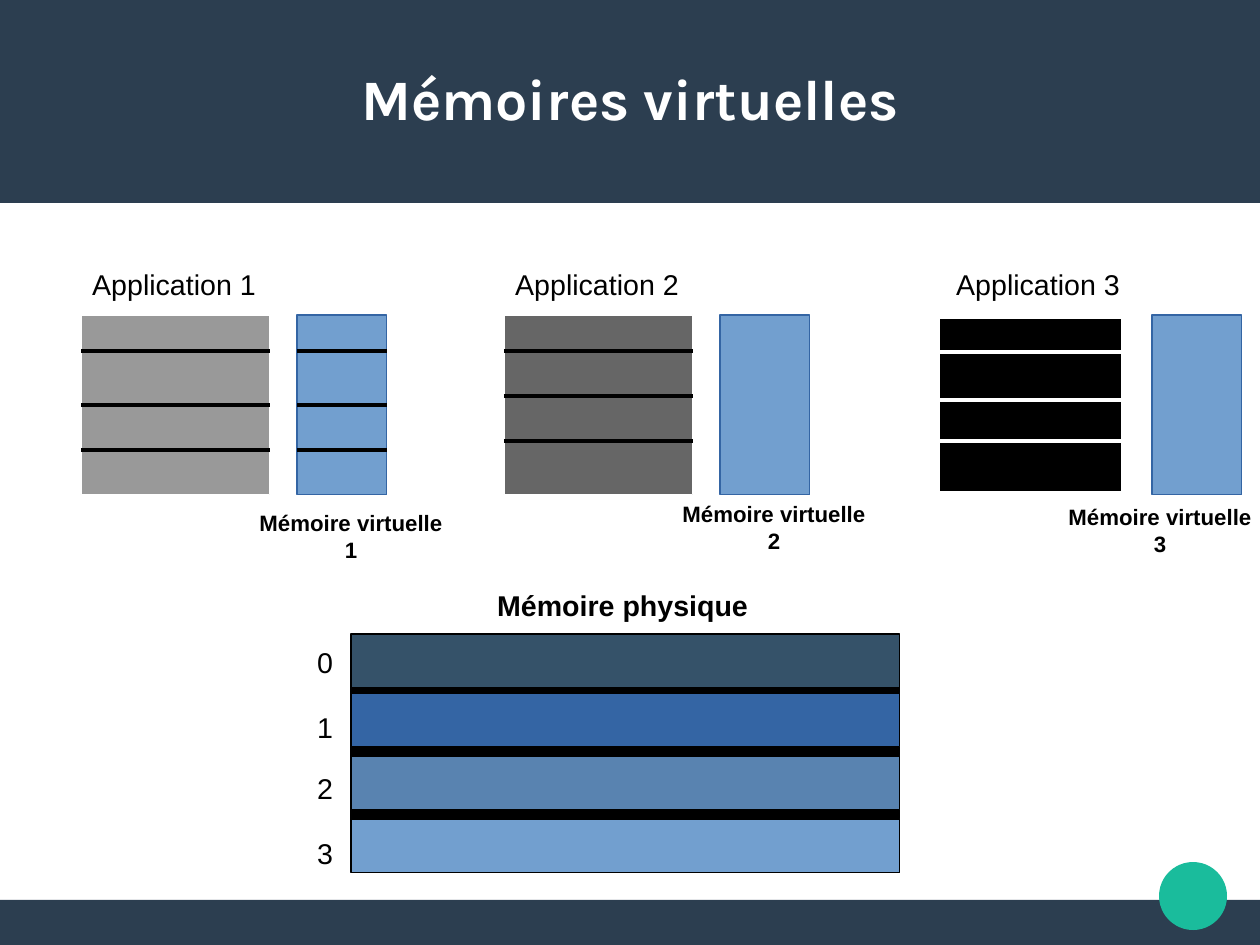
from lxml import etree
from pptx import Presentation
from pptx.dml.color import RGBColor
from pptx.enum.shapes import MSO_CONNECTOR, MSO_SHAPE
from pptx.enum.text import MSO_ANCHOR, PP_ALIGN
from pptx.oxml.ns import qn
from pptx.util import Emu, Pt

RECTANGLE, OVAL = MSO_SHAPE.RECTANGLE, MSO_SHAPE.OVAL
STRAIGHT = MSO_CONNECTOR.STRAIGHT
LEFT, CENTER = PP_ALIGN.LEFT, PP_ALIGN.CENTER
TOP, MIDDLE = MSO_ANCHOR.TOP, MSO_ANCHOR.MIDDLE

# Content
TITLE = "Mémoires virtuelles"
PHYSICAL_TITLE = "Mémoire physique"
COLORS = {
    "navy": "2C3E50", "green": "1ABC9C", "white": "FFFFFF", "black": "000000",
    "light gray": "999999", "dark gray": "666666",
    "memory": "729FCF", "memory edge": "3465A4",
    "page 0": "355269", "page 1": "3465A4", "page 2": "5983B0", "page 3": "729FCF",
}
APPLICATIONS = [
    {"left": 81, "name_left": 81, "memory_label": (243, 504), "fill": "light gray",
     "edge": ("white", 0), "cut": ("black", 0), "cuts": [351, 405, 450],
     "memory_cuts": [351, 405, 450]},
    {"left": 504, "name_left": 504, "memory_label": (666, 495), "fill": "dark gray",
     "edge": ("white", 0), "cut": ("black", 0), "cuts": [351, 396, 441],
     "memory_cuts": []},
    {"left": 936, "name_left": 945, "memory_label": (1052, 498), "fill": "black",
     "edge": ("white", 4.5), "cut": ("white", 2.3), "cuts": [352, 400, 441],
     "memory_cuts": []},
]
PAGES = [(634, 639), (693, 704), (756, 765), (819, 830)]  # bar top, number top

# Layout in px
PX = 8000
WIDTH, HEIGHT = 1260, 945
BLOCK_TOP, BLOCK_WIDTH, BLOCK_HEIGHT = 315, 189, 180
MEMORY_OFFSET, MEMORY_WIDTH = 216, 90
LABEL_WIDTH = 216
PHYSICAL_LEFT, PHYSICAL_WIDTH, PAGE_HEIGHT = 351, 549, 54

presentation = Presentation()
presentation.slide_width = Emu(WIDTH * PX)
presentation.slide_height = Emu(HEIGHT * PX)
slide = presentation.slides.add_slide(presentation.slide_layouts[6])


def color(name):
    return RGBColor.from_string(COLORS[name])


def emu(*lengths):
    return [Emu(length * PX) for length in lengths]


def add_block(left, top, width, height, fill, edge=None, kind=RECTANGLE):
    shape = slide.shapes.add_shape(kind, *emu(left, top, width, height))
    shape.shadow.inherit = False
    shape.fill.solid()
    shape.fill.fore_color.rgb = color(fill)
    if edge:
        shape.line.color.rgb = color(edge[0])
        shape.line.width = Pt(edge[1])
    else:
        shape.line.fill.background()


def add_cut(left, y, width, line):
    connector = slide.shapes.add_connector(STRAIGHT, *emu(left, y, left + width, y))
    connector.line.color.rgb = color(line[0])
    connector.line.width = Pt(line[1])
    etree.SubElement(connector.element.spPr, qn("a:effectLst"))


def add_text(left, top, width, height, text, size=18, bold=False, align=LEFT,
             font="Arial", ink="black", anchor=TOP):
    box = slide.shapes.add_textbox(*emu(left, top, width, height))
    frame = box.text_frame
    frame.word_wrap = True
    frame.vertical_anchor = anchor
    paragraph = frame.paragraphs[0]
    paragraph.text = text
    paragraph.alignment = align
    paragraph.font.name = font
    paragraph.font.size = Pt(size)
    paragraph.font.bold = bold
    paragraph.font.color.rgb = color(ink)
    return frame


# Header, footer and title
add_block(0, 900, WIDTH, 45, "navy")
add_block(0, 0, WIDTH, 203, "navy")
add_block(1159, 862, 68, 68, "green", kind=OVAL)
title = add_text(45, 38, 1170, 120, TITLE, 36, True, CENTER, "Karla", "white", MIDDLE)
title.margin_left = title.margin_right = title.margin_top = title.margin_bottom = 0

# Applications and their virtual memories
for number, app in enumerate(APPLICATIONS, 1):
    left, memory_left = app["left"], app["left"] + MEMORY_OFFSET
    add_block(left, BLOCK_TOP, BLOCK_WIDTH, BLOCK_HEIGHT, app["fill"], app["edge"])
    for y in app["cuts"]:
        add_cut(left, y, BLOCK_WIDTH, app["cut"])
    add_block(memory_left, BLOCK_TOP, MEMORY_WIDTH, BLOCK_HEIGHT, "memory",
              ("memory edge", 0))
    for y in app["memory_cuts"]:
        add_cut(memory_left, y, MEMORY_WIDTH, app["cut"])
    add_text(app["name_left"], 261, LABEL_WIDTH, 43, f"Application {number}")
    add_text(*app["memory_label"], LABEL_WIDTH, 62, f"Mémoire virtuelle {number}",
             14, True, CENTER)

# Physical memory
add_block(PHYSICAL_LEFT, 639, PHYSICAL_WIDTH, 216, "black", ("black", 0))
add_text(486, 582, 315, 75, PHYSICAL_TITLE, bold=True)
for number, (bar_top, number_top) in enumerate(PAGES):
    add_block(PHYSICAL_LEFT, bar_top, PHYSICAL_WIDTH, PAGE_HEIGHT, f"page {number}",
              ("black", 0))
    add_text(306, number_top, 36, 43, str(number))

presentation.save("out.pptx")
